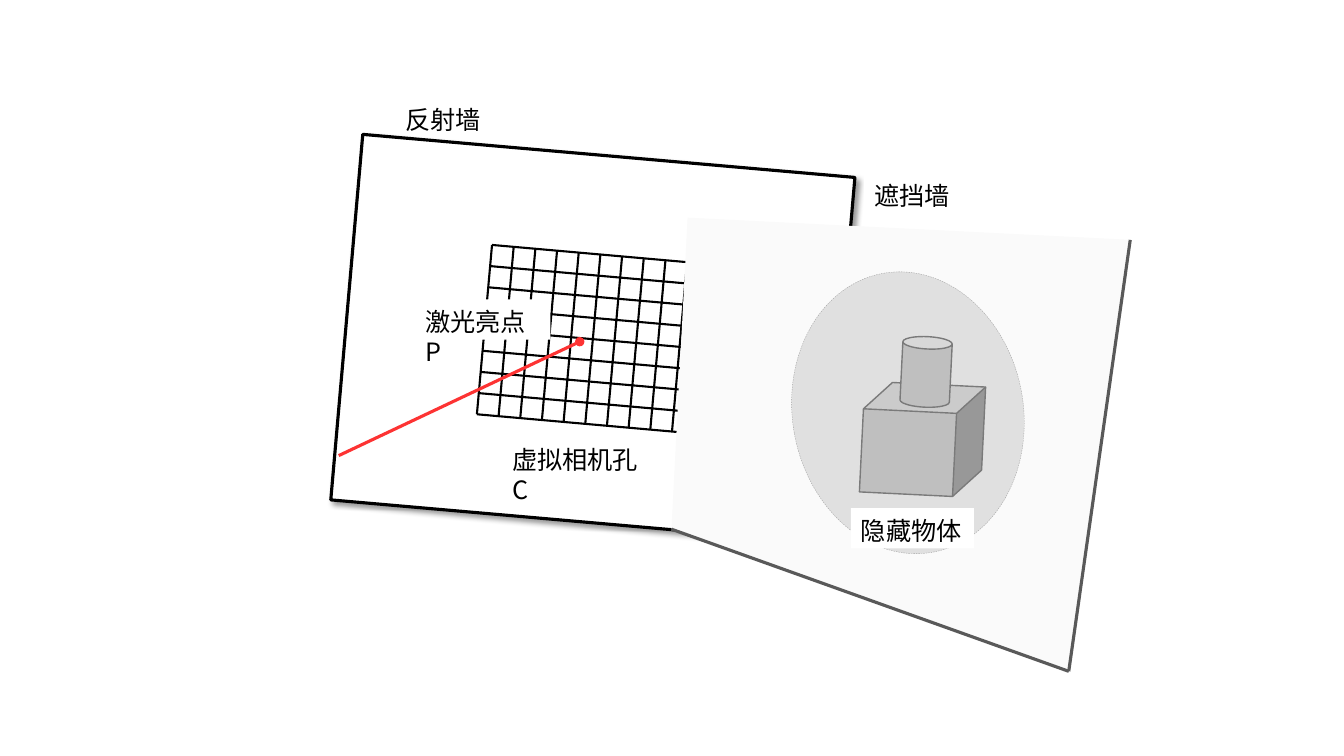
from dataclasses import dataclass

from lxml.etree import SubElement
from pptx import Presentation
from pptx.dml.color import RGBColor
from pptx.enum.dml import MSO_LINE_DASH_STYLE as Dash
from pptx.enum.shapes import MSO_CONNECTOR as Connector, MSO_SHAPE as Shape
from pptx.enum.text import MSO_ANCHOR as Anchor, PP_ALIGN as Align
from pptx.oxml.ns import qn
from pptx.util import Inches, Pt


@dataclass(frozen=True)
class Theme:
    """Colours, font and sizes of the diagram."""
    font: str = "Noto Sans CJK SC"
    label_size: float = 18
    label_spacing: float = 21.5
    ink: str = "000000"
    paper: str = "FFFFFF"
    laser: str = "FD3333"
    screen: str = "FAFAFA"
    screen_edge: str = "595959"
    spot: str = "E0E0E0"
    spot_edge: str = "A0A0A0"
    solid: str = "BFBFBF"
    solid_edge: str = "7A7A7A"
    heavy: float = 2.25
    medium: float = 1.5
    thin: float = 1
    hairline: float = 0.25


class Diagram:
    """Draws styled elements on one slide."""

    def __init__(self, page, theme):
        """Keep the slide and its style."""
        self.page, self.theme = page, theme

    def paint(self, shape, fill, edge=None, weight=1):
        """Set fill and outline, and drop the default shadow."""
        shape.shadow.inherit = False
        shape.fill.solid()
        shape.fill.fore_color.rgb = RGBColor.from_string(fill)
        if edge:
            shape.line.color.rgb = RGBColor.from_string(edge)
            shape.line.width = Pt(weight)
        else:
            shape.line.fill.background()
        return shape

    def solid(self, kind, place, fill, edge=None, weight=1, turn=0):
        """Add a preset shape at left, top, width, height."""
        shape = self.page.shapes.add_shape(kind, *map(Inches, place))
        shape.rotation = turn
        return self.paint(shape, fill, edge, weight)

    def outline(self, points, fill):
        """Add a closed polygon through the given points."""
        corners = [(Inches(x), Inches(y)) for x, y in points]
        builder = self.page.shapes.build_freeform(*corners[0])
        builder.add_line_segments(corners[1:], close=True)
        return self.paint(builder.convert_to_shape(), fill)

    def line(self, start, end, color, weight, tail=None):
        """Add a straight line, with an optional end marker."""
        line = self.page.shapes.add_connector(
            Connector.STRAIGHT, *map(Inches, (*start, *end)))
        line.line.color.rgb = RGBColor.from_string(color)
        line.line.width = Pt(weight)
        if tail:
            SubElement(line.line._get_or_add_ln(), qn("a:tailEnd"), type=tail)
        SubElement(line._element.spPr, qn("a:effectLst"))
        return line

    def grid(self, corner, across, down, columns, rows):
        """Add a slanted grid spanned by two vectors."""
        def point(u, v):
            """Locate a point by its shares of the two vectors."""
            return tuple(c + u * a + v * d
                         for c, a, d in zip(corner, across, down))

        style = self.theme.ink, self.theme.medium
        for column in range(columns + 1):
            share = column / columns
            self.line(point(share, 0), point(share, 1), *style)
        for row in range(rows + 1):
            share = row / rows
            self.line(point(0, share), point(1, share), *style)

    def label(self, text, left, top, width, filled=True):
        """Add a one-paragraph label, on white unless told otherwise."""
        place = left, top, width, 0.4
        if filled:
            box = self.solid(Shape.RECTANGLE, place, self.theme.paper)
        else:
            box = self.page.shapes.add_textbox(*map(Inches, place))
        frame = box.text_frame
        frame.text = text
        frame.word_wrap = True
        frame.vertical_anchor = Anchor.TOP
        frame.margin_left = frame.margin_right = Inches(0.1)
        frame.margin_top, frame.margin_bottom = Inches(0.07), Inches(0.03)
        para = frame.paragraphs[0]
        para.alignment = Align.LEFT
        para.line_spacing = Pt(self.theme.label_spacing)
        span = para.runs[0]
        span.font.name = self.theme.font
        span.font.size = Pt(self.theme.label_size)
        span.font.color.rgb = RGBColor.from_string(self.theme.ink)
        SubElement(span.font._element, qn("a:ea"), typeface=self.theme.font)


def add_shadow(shape, color):
    """Give a shape a soft shadow to the lower right."""
    effects = shape._element.spPr.find(qn("a:effectLst"))
    shadow = SubElement(effects, qn("a:outerShdw"), blurRad=str(Pt(4)),
                        dist=str(Pt(3)), dir="2700000", algn="tl",
                        rotWithShape="0")
    tint = SubElement(shadow, qn("a:srgbClr"), val=color)
    SubElement(tint, qn("a:alpha"), val="40000")


def draw_reflecting_wall(diagram):
    """Draw the rear wall with its grid and the laser beam."""
    theme = diagram.theme
    wall = diagram.solid(Shape.RECTANGLE, (3.43, 1.54, 4.9, 3.64),
                         theme.paper, theme.ink, theme.heavy, turn=5)
    add_shadow(wall, theme.ink)
    diagram.grid((4.88, 2.43), across=(2.15, 0.19), down=(-0.15, 1.68),
                 columns=10, rows=8)
    diagram.line((3.36, 4.52), (5.75, 3.39), theme.laser, theme.heavy, "oval")


def draw_blocking_wall(diagram):
    """Draw the front wall in perspective and the hidden object."""
    theme = diagram.theme
    corners = [(6.82, 2.16), (11.21, 2.38), (10.6, 6.66), (6.66, 5.25)]
    diagram.outline(corners, theme.screen)
    for start, end in zip(corners[1:], corners[2:]):
        diagram.line(start, end, theme.screen_edge, theme.heavy)
    spot = diagram.solid(Shape.OVAL, (7.86, 2.69, 2.29, 2.81), theme.spot,
                         theme.spot_edge, theme.hairline, turn=-10)
    spot.line.dash_style = Dash.DASH
    for kind, place in ((Shape.CUBE, (8.55, 3.81, 1.2, 1.1)),
                        (Shape.CAN, (8.94, 3.34, 0.49, 0.7))):
        diagram.solid(kind, place, theme.solid, theme.solid_edge,
                      theme.thin, turn=2.8)


def main():
    """Build the slide and save it."""
    deck = Presentation()
    deck.slide_width, deck.slide_height = Inches(13.33), Inches(7.5)
    page = deck.slides.add_slide(deck.slide_layouts[6])
    diagram = Diagram(page, Theme())
    draw_reflecting_wall(diagram)
    draw_blocking_wall(diagram)
    diagram.label("反射墙", 3.92, 0.97, 0.98, filled=False)
    diagram.label("激光亮点P", 4.12, 2.97, 1.34)
    diagram.label("隐藏物体", 8.44, 5.04, 1.22)
    diagram.label("遮挡墙", 8.57, 1.72, 0.98)
    diagram.label("虚拟相机孔C", 4.98, 4.34, 1.59)
    deck.save("out.pptx")


main()
